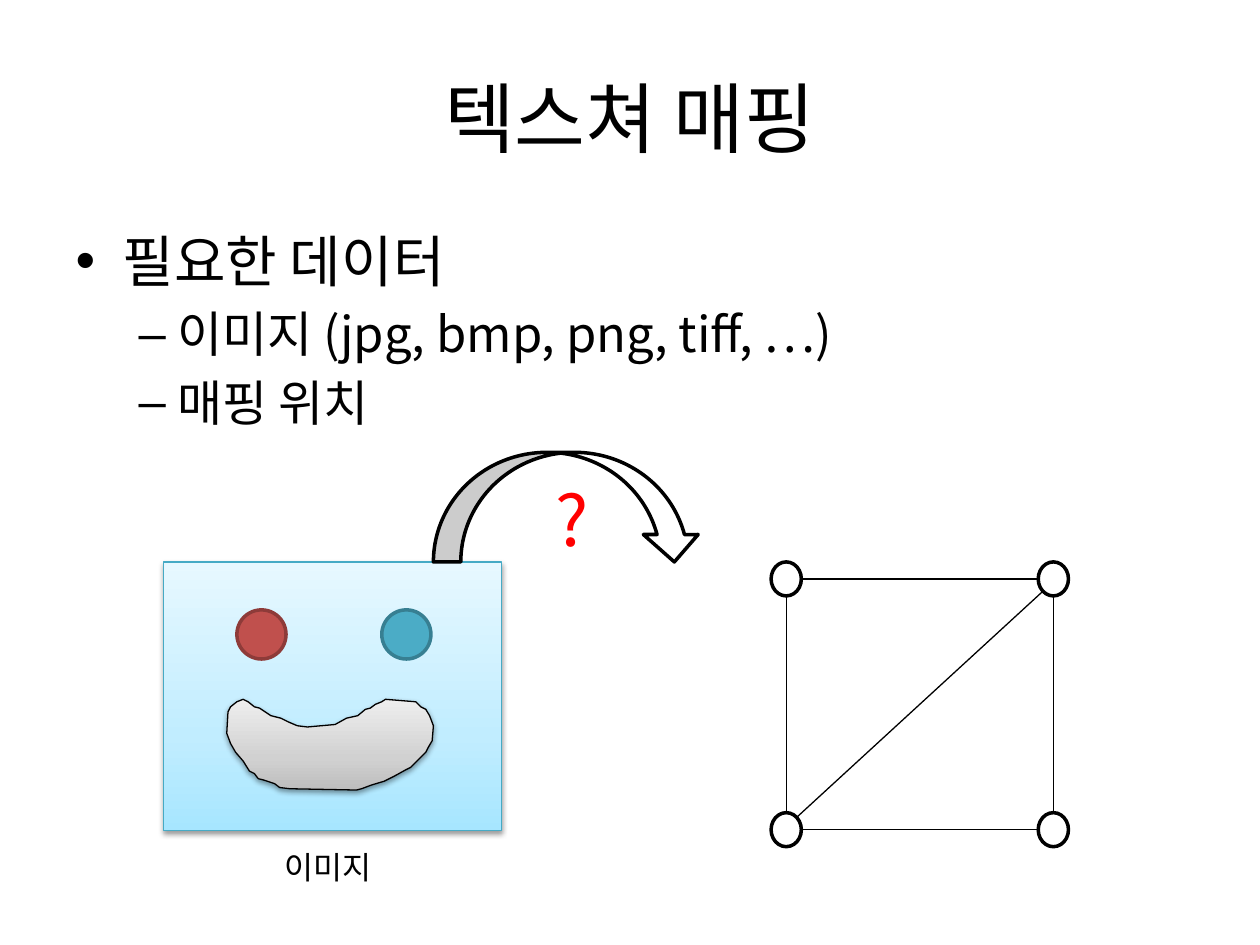
"""Build the texture mapping slide."""
import dataclasses
import typing

import pptx
import pptx.dml.color
import pptx.enum.shapes
import pptx.enum.text
import pptx.oxml.ns
import pptx.util
from lxml import etree

Inches = pptx.util.Inches
Kind = pptx.enum.shapes.MSO_SHAPE
qn = pptx.oxml.ns.qn
Box = tuple[float, float, float, float]


@dataclasses.dataclass(frozen=True)
class Theme:
    font: str = "Noto Sans CJK KR"
    ink: str = "000000"
    paper: str = "FFFFFF"
    alert: str = "FF0000"
    frame: str = "46AAC5"
    sky: tuple = ((0, "A7E6FF"), (35, "C1EDFF"), (100, "E7F8FF"))
    gray: tuple = ((0, "BDBDBD"), (35, "D1D1D1"), (100, "EEEEEE"))
    title: int = 44
    body: int = 32
    sub: int = 28
    label: int = 18
    mark: int = 40
    thin: float = 0.75
    bold: float = 2


@dataclasses.dataclass(frozen=True)
class Item:
    kind: Kind
    box: Box
    fill: str
    line: str


@dataclasses.dataclass(frozen=True)
class Note:
    text: str
    box: Box
    size: int
    color: str
    wrap: bool


LOOK = Theme()
EYES = [
    Item(Kind.OVAL, (1.88, 4.84, 0.39, 0.39), "C0504D", "8E3B39"),
    Item(Kind.OVAL, (3.03, 4.84, 0.39, 0.39), "4BACC6", "377F92"),
]
ARROW = Item(Kind.CURVED_DOWN_ARROW, (3.44, 3.59, 2.13, 0.87), LOOK.paper, LOOK.ink)
NOTES = [
    Note("이미지", (2.16, 6.68, 0.96, 0.4), LOOK.label, LOOK.ink, False),
    Note("?", (4.31, 3.73, 0.79, 0.77), LOOK.mark, LOOK.alert, True),
]
LIST = [
    ("필요한 데이터", 0, LOOK.body),
    ("이미지 (jpg, bmp, png, tiff, …)", 1, LOOK.sub),
    ("매핑 위치", 1, LOOK.sub),
]
MOUTH = [
    (193, 604), (187, 597), (183, 590), (180, 582), (181, 565), (183, 561),
    (188, 557), (193, 555), (197, 557), (202, 561), (206, 562), (215, 568),
    (223, 570), (229, 573), (236, 576), (244, 577), (255, 576), (266, 575),
    (275, 570), (284, 568), (290, 563), (294, 562), (298, 559), (303, 557),
    (306, 555), (330, 557), (334, 561), (338, 563), (341, 568), (344, 576),
    (343, 588), (340, 593), (338, 597), (330, 605), (326, 609), (322, 611),
    (313, 616), (309, 618), (305, 620), (295, 623), (287, 626), (283, 627),
    (230, 626), (222, 625), (218, 622), (209, 619), (205, 618), (202, 614),
    (198, 612),
]
LEFT, RIGHT, TOP, BASE = 6.12, 8.24, 4.46, 6.45
WIDE, HIGH = 0.24, 0.27
MIDX, MIDY = WIDE / 2, HIGH / 2
EDGES = [
    (LEFT + MIDX, TOP + HIGH, LEFT + MIDX, BASE),
    (LEFT + WIDE, TOP + MIDY, RIGHT, TOP + MIDY),
    (RIGHT + MIDX, TOP + HIGH, RIGHT + MIDX, BASE),
    (LEFT + WIDE, BASE + MIDY, RIGHT, BASE + MIDY),
    (6.32, 6.49, 8.28, 4.69),
]


def rgb(code: str) -> pptx.dml.color.RGBColor:
    """Turn a hex code into a colour."""
    return pptx.dml.color.RGBColor.from_string(code)


def place(box: Box) -> list[int]:
    """Turn inches into slide lengths."""
    return [Inches(side) for side in box]


def style(run: typing.Any, size: int, color: str) -> None:
    """Format one run of text."""
    form = {"name": LOOK.font, "size": pptx.util.Pt(size)}
    for key, value in form.items():
        setattr(run.font, key, value)
    run.font.color.rgb = rgb(color)
    props = run._r.get_or_add_rPr()
    etree.SubElement(props, qn("a:ea"), typeface=LOOK.font)


def edge(shape: typing.Any, color: str, width: float) -> None:
    """Set the outline of a shape."""
    shape.line.color.rgb = rgb(color)
    shape.line.width = pptx.util.Pt(width)


def draw(slide: typing.Any, item: Item) -> None:
    """Draw a plain filled shape."""
    shape = slide.shapes.add_shape(item.kind, *place(item.box))
    shape.shadow.inherit = False
    shape.fill.solid()
    shape.fill.fore_color.rgb = rgb(item.fill)
    edge(shape, item.line, LOOK.bold)


def shade(shape: typing.Any, stops: tuple, line: str) -> None:
    """Give a shape a rising gradient and a soft shadow."""
    shape.fill.gradient()
    shape.fill.gradient_angle = 90
    grad = shape._element.spPr.find(qn("a:gradFill"))
    ramp = grad.find(qn("a:gsLst"))
    for old in list(ramp):
        ramp.remove(old)
    for spot, color in stops:
        stop = etree.SubElement(ramp, qn("a:gs"), pos=str(spot * 1000))
        etree.SubElement(stop, qn("a:srgbClr"), val=color)
    edge(shape, line, LOOK.thin)
    shape.shadow.inherit = False
    effect = shape._element.spPr.find(qn("a:effectLst"))
    form = {"blurRad": "40000", "dist": "20000", "dir": "5400000", "rotWithShape": "0"}
    shadow = etree.SubElement(effect, qn("a:outerShdw"), form)
    tint = etree.SubElement(shadow, qn("a:srgbClr"), val=LOOK.ink)
    etree.SubElement(tint, qn("a:alpha"), val="38000")


def link(slide: typing.Any, ends: Box) -> None:
    """Draw one straight edge of the mesh."""
    kind = pptx.enum.shapes.MSO_CONNECTOR.STRAIGHT
    line = slide.shapes.add_connector(kind, *place(ends))
    edge(line, LOOK.ink, LOOK.thin)
    etree.SubElement(line._element.spPr, qn("a:effectLst"))


def write(slide: typing.Any, note: Note) -> None:
    """Add a free text box."""
    frame = slide.shapes.add_textbox(*place(note.box)).text_frame
    form = {
        "word_wrap": note.wrap,
        "auto_size": pptx.enum.text.MSO_AUTO_SIZE.SHAPE_TO_FIT_TEXT,
    }
    for key, value in form.items():
        setattr(frame, key, value)
    run = frame.paragraphs[0].add_run()
    run.text = note.text
    style(run, note.size, note.color)


def fill(holder: typing.Any, box: Box, rows: list[tuple[str, int, int]]) -> None:
    """Move a placeholder and write its rows."""
    for key, value in zip(("left", "top", "width", "height"), place(box)):
        setattr(holder, key, value)
    frame = holder.text_frame
    for rank, (text, level, size) in enumerate(rows):
        para = frame.add_paragraph() if rank else frame.paragraphs[0]
        para.level = level
        if not rank:
            para.space_before = pptx.util.Pt(0)
        run = para.add_run()
        run.text = text
        style(run, size, LOOK.ink)


def main() -> None:
    """Build and save the slide."""
    deck = pptx.Presentation()
    deck.slide_width, deck.slide_height = Inches(10), Inches(7.5)
    slide = deck.slides.add_slide(deck.slide_layouts[1])
    title, body = slide.placeholders
    fill(title, (0.5, 0.3, 9, 1.25), [("텍스쳐 매핑", 0, LOOK.title)])
    fill(body, (0.5, 1.75, 9, 4.95), LIST)
    face = slide.shapes.add_shape(Kind.RECTANGLE, *place((1.3, 4.46, 2.68, 2.13)))
    shade(face, LOOK.sky, LOOK.frame)
    for eye in EYES:
        draw(slide, eye)
    path = slide.shapes.build_freeform(*MOUTH[0], scale=Inches(0.01))
    path.add_line_segments(MOUTH[1:], close=True)
    shade(path.convert_to_shape(), LOOK.gray, LOOK.ink)
    for top in (TOP, BASE):
        for left in (LEFT, RIGHT):
            draw(slide, Item(Kind.OVAL, (left, top, WIDE, HIGH), LOOK.paper, LOOK.ink))
    for ends in EDGES:
        link(slide, ends)
    draw(slide, ARROW)
    for note in NOTES:
        write(slide, note)
    deck.save("out.pptx")


if __name__ == "__main__":
    main()
